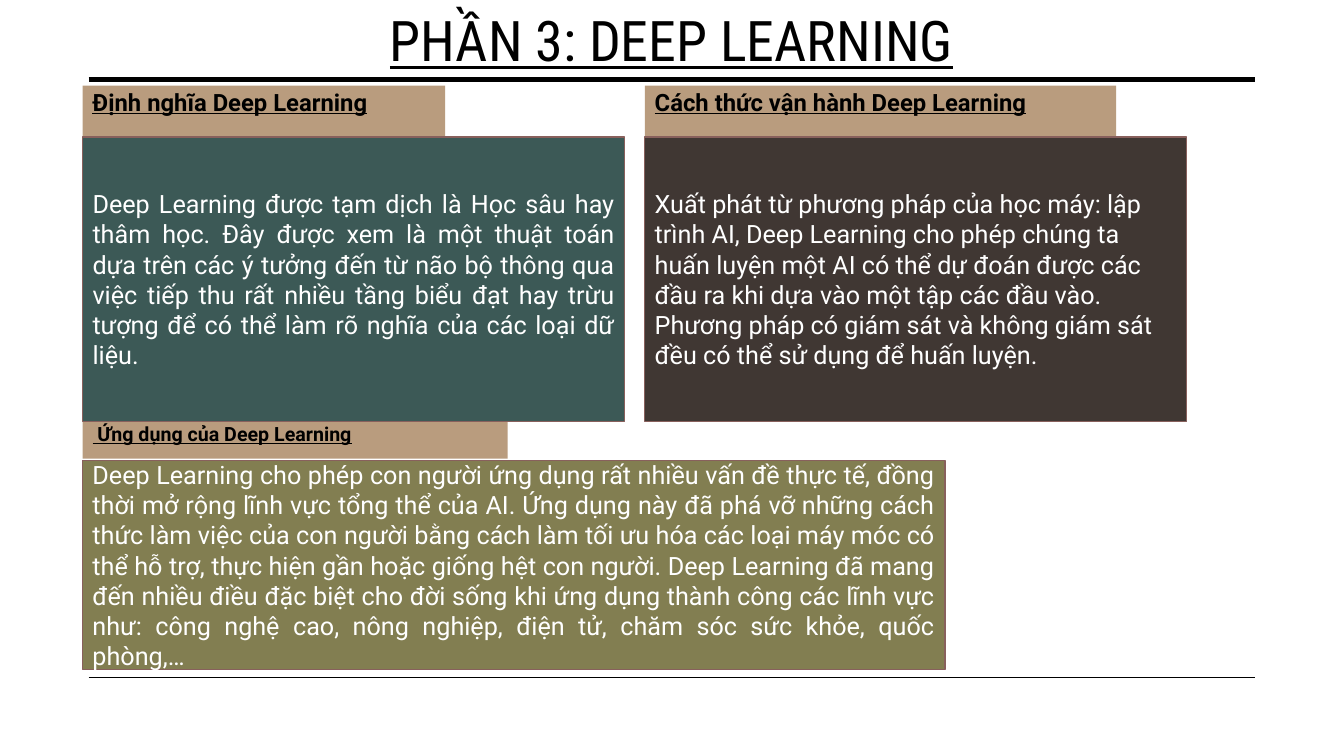
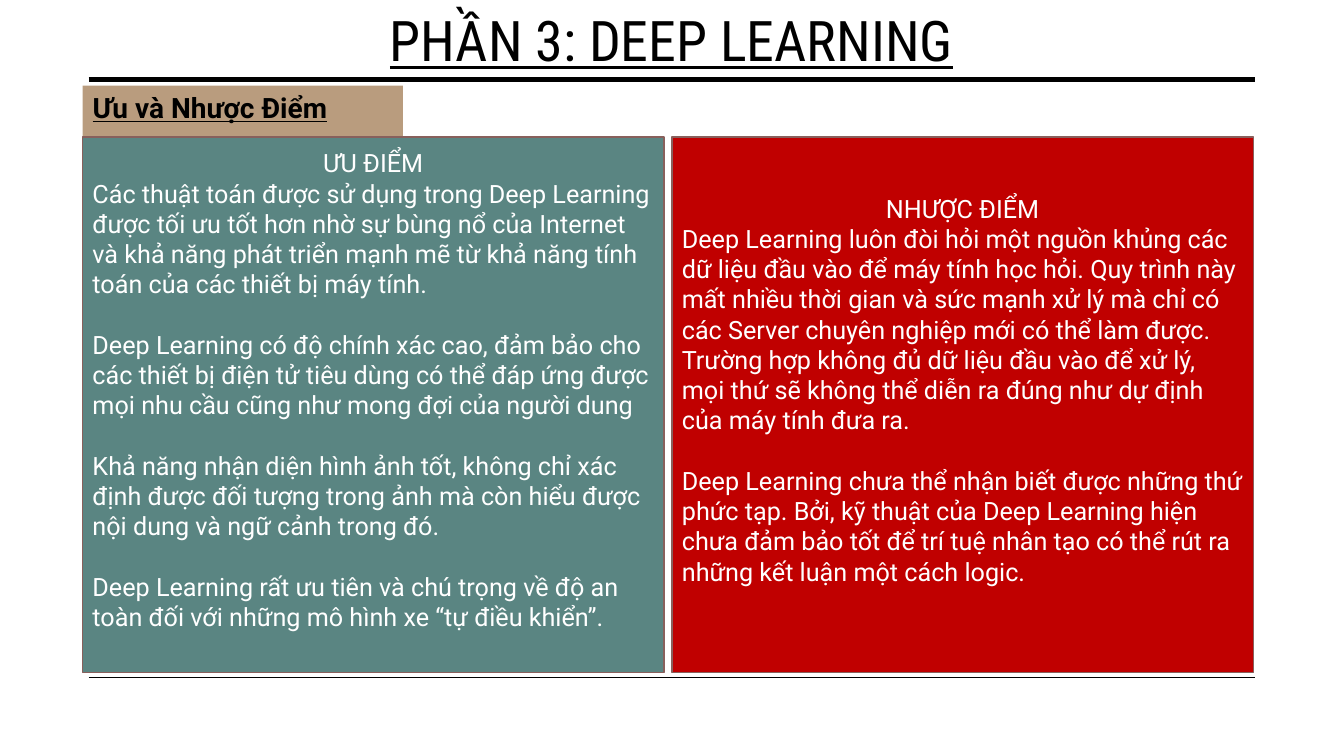
from lxml.etree import SubElement
from pptx import Presentation
from pptx.dml.color import RGBColor
from pptx.enum.shapes import MSO_CONNECTOR, MSO_SHAPE
from pptx.enum.text import MSO_ANCHOR, PP_ALIGN
from pptx.oxml.ns import qn
from pptx.util import Inches, Pt

# Shared style
BLACK, WHITE = "000000", "FFFFFF"
TAN, BORDER = "B99C7E", "88605C"
TITLE = "PHẦN 3: DEEP LEARNING"
LEFT, TAB_TOP, TAB_HEIGHT, PANEL_TOP = 0.82, 0.85, 0.5, 1.36
LINE_GAP = 21.6  # points, one line of panel text
RULES = [(0.79, 3.5), (6.72, 1)]  # height on the slide, weight
JUSTIFY, CENTER, ALIGN_LEFT = PP_ALIGN.JUSTIFY, PP_ALIGN.CENTER, PP_ALIGN.LEFT


def rgb(value):
    return RGBColor.from_string(value)


def add_box(slide, place, fill, border=None):
    """Add a plain rectangle and return its text frame."""
    box = slide.shapes.add_shape(MSO_SHAPE.RECTANGLE, *map(Inches, place))
    box.shadow.inherit = False
    box.fill.solid()
    box.fill.fore_color.rgb = rgb(fill)
    if border:
        box.line.color.rgb = rgb(border)
        box.line.width = Pt(1)
    else:
        box.line.fill.background()
    box.text_frame.word_wrap = True
    return box.text_frame


# Content: tabs are (place, text, size, line spacing);
# panels are (place, fill, body alignment, heading, paragraphs)
COLUMN, COLUMN_STEP, COLUMN_HEIGHT = 5.38, 5.58, 2.82
HALF, HALF_STEP, HALF_HEIGHT = 5.77, 5.85, 5.31

overview = {
    "tabs": [
        ((LEFT, TAB_TOP, 3.6, TAB_HEIGHT), "Định nghĩa Deep Learning", 17, 0.9),
        ((LEFT + COLUMN_STEP, TAB_TOP, 4.68, TAB_HEIGHT),
         "Cách thức vận hành Deep Learning", 17, 0.9),
        ((LEFT, 4.18, 4.22, 0.37), " Ứng dụng của Deep Learning", 14, 0.8),
    ],
    "panels": [
        ((LEFT, PANEL_TOP, COLUMN, COLUMN_HEIGHT), "3C5956", JUSTIFY, None, [
            "Deep Learning được tạm dịch là Học sâu hay thâm học. Đây được xem là "
            "một thuật toán dựa trên các ý tưởng đến từ não bộ thông qua việc tiếp "
            "thu rất nhiều tầng biểu đạt hay trừu tượng để có thể làm rõ nghĩa của "
            "các loại dữ liệu.",
        ]),
        ((LEFT + COLUMN_STEP, PANEL_TOP, COLUMN, COLUMN_HEIGHT), "403733",
         ALIGN_LEFT, None, [
            "Xuất phát từ phương pháp của học máy: lập trình AI, Deep Learning cho "
            "phép chúng ta huấn luyện một AI có thể dự đoán được các đầu ra khi dựa "
            "vào một tập các đầu vào. Phương pháp có giám sát và không giám sát đều "
            "có thể sử dụng để huấn luyện.",
        ]),
        ((LEFT, 4.57, 8.56, 2.07), "827E51", JUSTIFY, None, [
            "Deep Learning cho phép con người ứng dụng rất nhiều vấn đề thực tế, "
            "đồng thời mở rộng lĩnh vực tổng thể của AI. Ứng dụng này đã phá vỡ "
            "những cách thức làm việc của con người bằng cách làm tối ưu hóa các "
            "loại máy móc có thể hỗ trợ, thực hiện gần hoặc giống hệt con người. "
            "Deep Learning đã mang đến nhiều điều đặc biệt cho đời sống khi ứng "
            "dụng thành công các lĩnh vực như: công nghệ cao, nông nghiệp, điện tử, "
            "chăm sóc sức khỏe, quốc phòng,…",
        ]),
    ],
}

pros_and_cons = {
    "tabs": [((LEFT, TAB_TOP, 3.18, TAB_HEIGHT), "Ưu và Nhược Điểm", 20, 1.0)],
    "panels": [
        ((LEFT, PANEL_TOP, HALF, HALF_HEIGHT), "5A8582", ALIGN_LEFT, "ƯU ĐIỂM", [
            "Các thuật toán được sử dụng trong Deep Learning được tối ưu tốt hơn "
            "nhờ sự bùng nổ của Internet và khả năng phát triển mạnh mẽ từ khả năng "
            "tính toán của các thiết bị máy tính.",
            "Deep Learning có độ chính xác cao, đảm bảo cho các thiết bị điện tử "
            "tiêu dùng có thể đáp ứng được mọi nhu cầu cũng như mong đợi của người "
            "dung",
            "Khả năng nhận diện hình ảnh tốt, không chỉ xác định được đối tượng "
            "trong ảnh mà còn hiểu được nội dung và ngữ cảnh trong đó.",
            "Deep Learning rất ưu tiên và chú trọng về độ an toàn đối với những mô "
            "hình xe “tự điều khiển”.",
        ]),
        ((LEFT + HALF_STEP, PANEL_TOP, HALF, HALF_HEIGHT), "C00000",
         ALIGN_LEFT, "NHƯỢC ĐIỂM", [
            "Deep Learning luôn đòi hỏi một nguồn khủng các dữ liệu đầu vào để máy "
            "tính học hỏi. Quy trình này mất nhiều thời gian và sức mạnh xử lý mà "
            "chỉ có các Server chuyên nghiệp mới có thể làm được. Trường hợp không "
            "đủ dữ liệu đầu vào để xử lý, mọi thứ sẽ không thể diễn ra đúng như dự "
            "định của máy tính đưa ra.",
            "Deep Learning chưa thể nhận biết được những thứ phức tạp. Bởi, kỹ "
            "thuật của Deep Learning hiện chưa đảm bảo tốt để trí tuệ nhân tạo có "
            "thể rút ra những kết luận một cách logic.",
        ]),
    ],
}

deck = Presentation()
deck.slide_width, deck.slide_height = Inches(13.34), Inches(7.5)

for content in (overview, pros_and_cons):
    slide = deck.slides.add_slide(deck.slide_layouts[6])

    # Rules above and below the content
    for y, weight in RULES:
        rule = slide.shapes.add_connector(
            MSO_CONNECTOR.STRAIGHT, Inches(0.88), Inches(y), Inches(12.46), Inches(y))
        rule.line.color.rgb = rgb(BLACK)
        rule.line.width = Pt(weight)
        SubElement(rule.element.spPr, qn("a:effectLst"))

    # Title
    title = slide.shapes.add_textbox(
        Inches(LEFT), Inches(0.01), Inches(11.69), Inches(1.5)).text_frame
    title.word_wrap = True
    heading = title.paragraphs[0]
    heading.text = TITLE
    heading.alignment = CENTER
    heading.font.name, heading.font.size = "Roboto Condensed", Pt(40)
    heading.font.underline = True
    heading.font.color.rgb = rgb(BLACK)

    # Section tabs
    for place, text, size, spacing in content["tabs"]:
        tab = add_box(slide, place, TAN)
        tab.vertical_anchor = MSO_ANCHOR.TOP
        label = tab.paragraphs[0]
        label.text = text
        label.alignment = JUSTIFY
        label.line_spacing = spacing
        label.font.name, label.font.size = "Roboto", Pt(size)
        label.font.bold = label.font.underline = True
        label.font.color.rgb = rgb(BLACK)

    # Text panels
    for place, fill, body_alignment, panel_heading, body in content["panels"]:
        panel = add_box(slide, place, fill, BORDER)
        panel.vertical_anchor = MSO_ANCHOR.MIDDLE
        lines = [panel_heading, *body] if panel_heading else body
        panel.text = "\n".join(lines)
        for index, paragraph in enumerate(panel.paragraphs):
            paragraph.alignment = body_alignment
            paragraph.font.name, paragraph.font.size = "Roboto", Pt(18)
            paragraph.font.color.rgb = rgb(WHITE)
            if index > 1:
                paragraph.space_before = Pt(LINE_GAP)
        if panel_heading:
            panel.paragraphs[0].alignment = CENTER
            panel.margin_bottom = Inches(0.05) + Pt(LINE_GAP)

deck.save("out.pptx")
